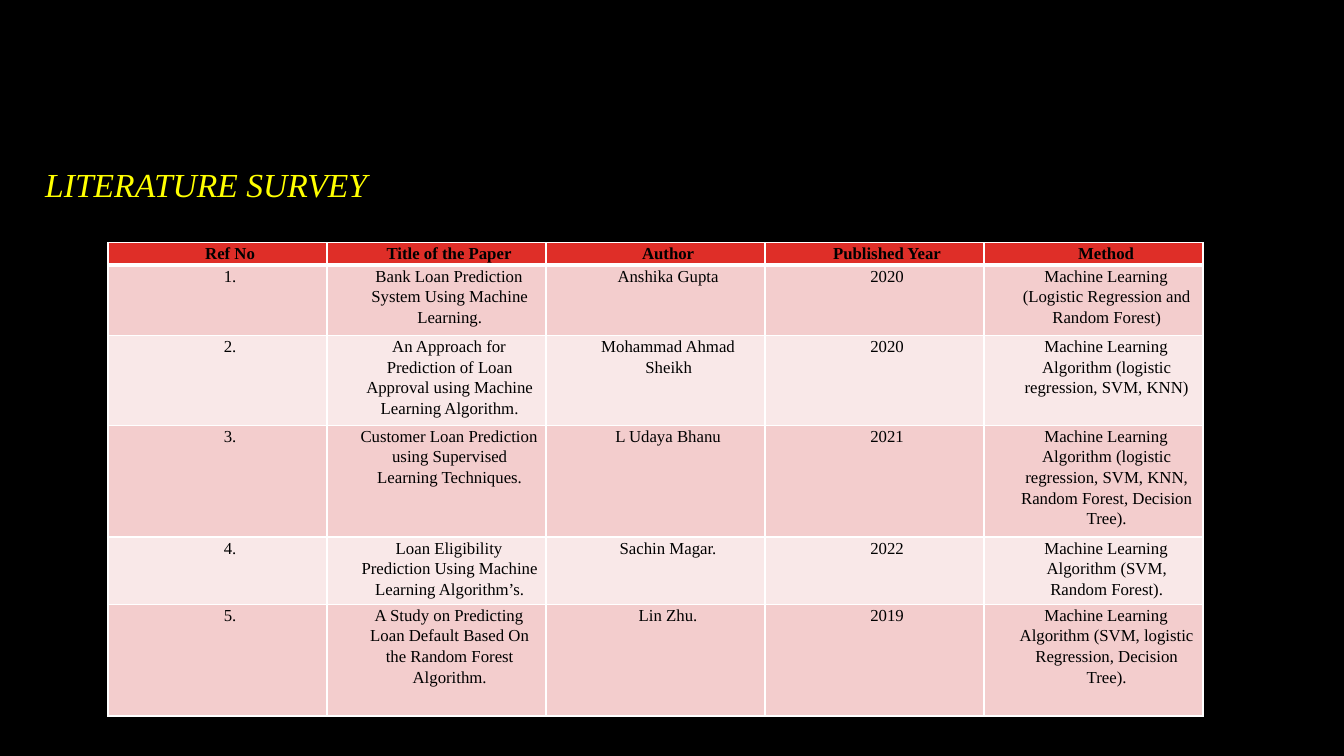
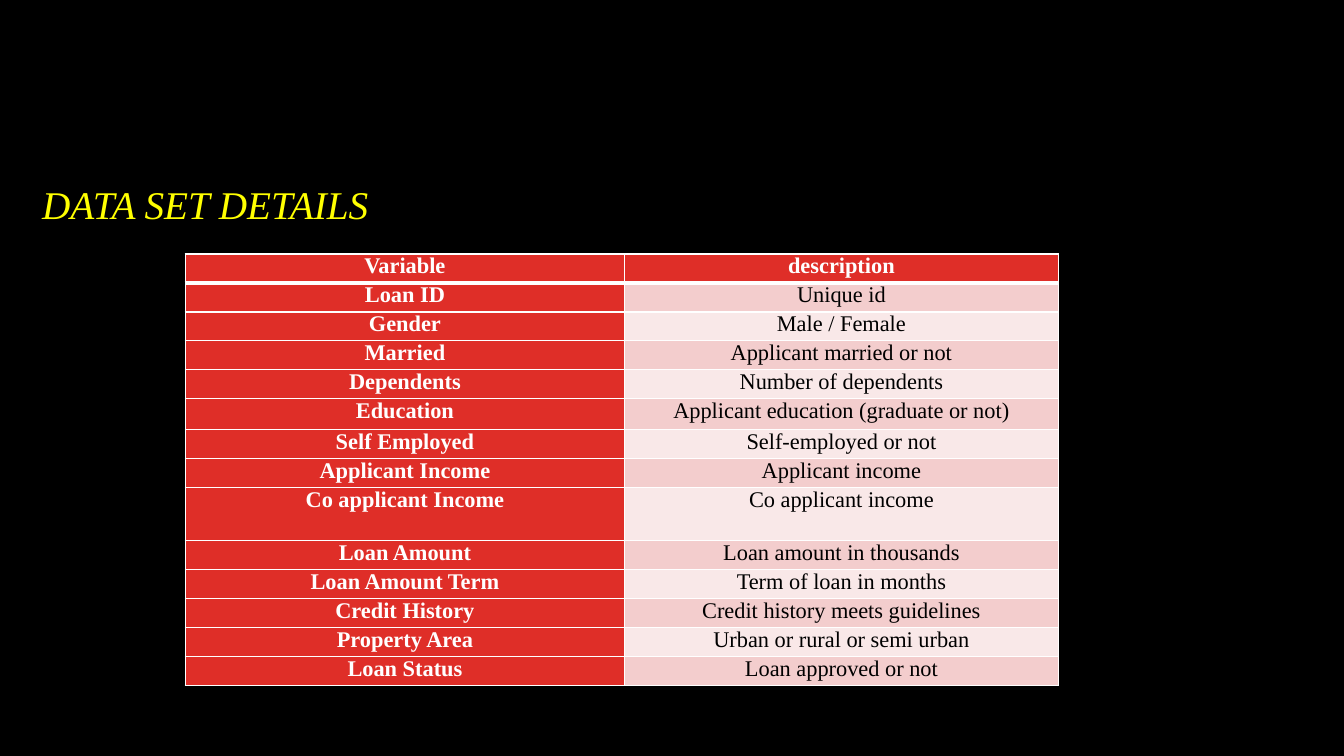
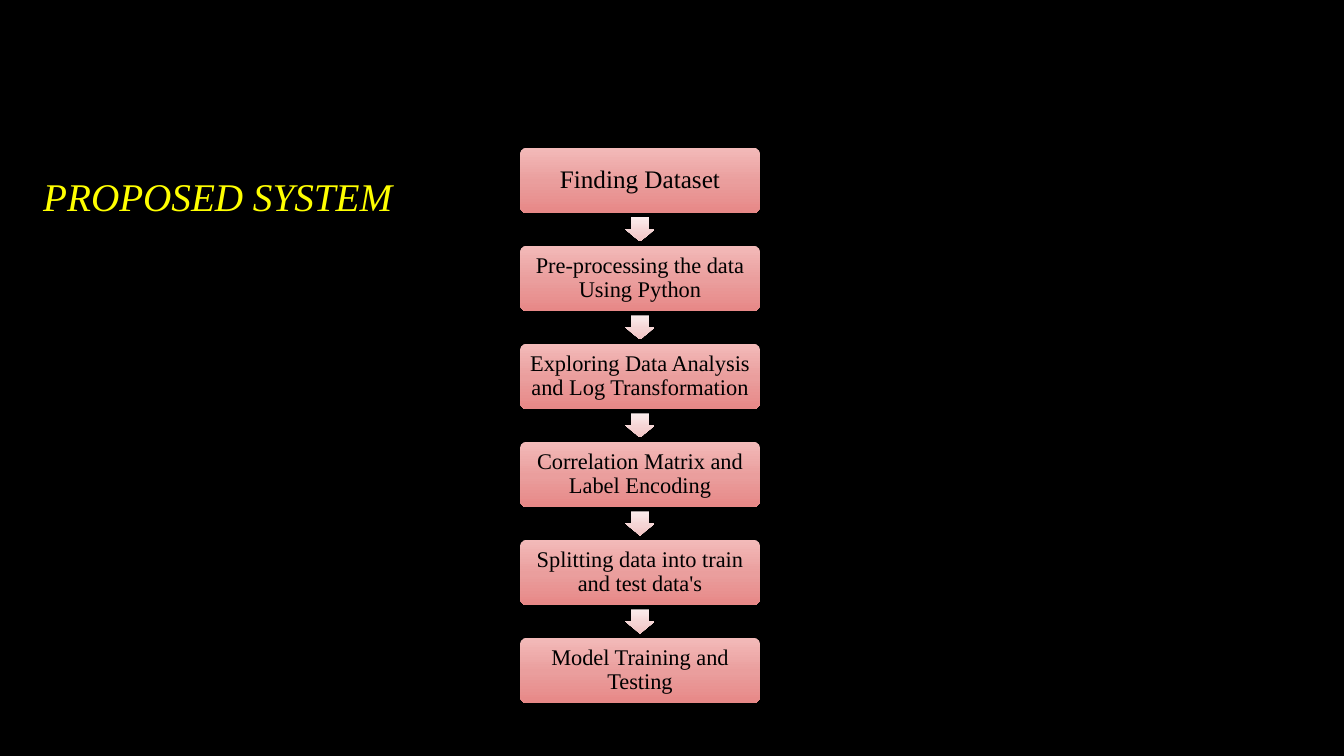
"""Build three slides on loan prediction: literature survey, data set and proposed system."""
from copy import deepcopy

from lxml.etree import SubElement
from pptx import Presentation
from pptx.dml.color import RGBColor
from pptx.enum.shapes import MSO_SHAPE
from pptx.enum.text import MSO_ANCHOR, MSO_AUTO_SIZE, PP_ALIGN
from pptx.oxml.ns import qn
from pptx.util import Cm, Pt

BLACK = RGBColor(0x00, 0x00, 0x00)
WHITE = RGBColor(0xFF, 0xFF, 0xFF)
YELLOW = RGBColor(0xFF, 0xFF, 0x00)
RED = RGBColor(0xDF, 0x2E, 0x28)
BANDS = (RGBColor(0xF3, 0xCD, 0xCD), RGBColor(0xF9, 0xE8, 0xE8))
STEP_SHADES = (RGBColor(0xF3, 0xBA, 0xB9), RGBColor(0xEA, 0x9E, 0x9D), RGBColor(0xE7, 0x88, 0x87))
ARROW_SHADES = (RGBColor(0xFC, 0xEE, 0xEE), RGBColor(0xF5, 0xD5, 0xD5), RGBColor(0xF1, 0xC3, 0xC3))
SHADE_STOPS = (0, 0.52, 1)
FONT = "Times New Roman"

TITLES = {
    "survey": ("LITERATURE SURVEY", 24, (0.89, 4.01, 14.15, 1.27)),
    "dataset": ("DATA SET DETAILS", 28, (0.81, 4.42, 9.35, 1.45)),
    "system": ("PROPOSED SYSTEM", 28, (0.84, 4.22, 10.62, 1.45)),
}

PAPERS = [
    ("Ref No", "Title of the Paper", "Author", "Published Year", "Method"),
    ("1.", "Bank Loan Prediction System Using Machine Learning.", "Anshika Gupta", "2020",
     "Machine Learning (Logistic Regression and Random Forest)"),
    ("2.", "An Approach for Prediction of Loan Approval using Machine Learning Algorithm.",
     "Mohammad Ahmad Sheikh", "2020",
     "Machine Learning Algorithm (logistic regression, SVM, KNN)"),
    ("3.", "Customer Loan Prediction using Supervised Learning Techniques.", "L Udaya Bhanu", "2021",
     "Machine Learning Algorithm (logistic regression, SVM, KNN, Random Forest, Decision Tree)."),
    ("4.", "Loan Eligibility Prediction Using Machine Learning Algorithm’s.", "Sachin Magar.", "2022",
     "Machine Learning Algorithm (SVM, Random Forest)."),
    ("5.", "A Study on Predicting Loan Default Based On the Random Forest Algorithm.", "Lin Zhu.", "2019",
     "Machine Learning Algorithm (SVM, logistic Regression, Decision Tree)."),
]
PAPER_HEIGHTS = [0.56, 1.77, 2.26, 2.82, 1.68, 2.82]
PAPER_WIDTHS = [5.52] * 5

VARIABLES = [
    ("Variable", "description"),
    ("Loan ID", "Unique id"),
    ("Gender", "Male / Female"),
    ("Married", "Applicant married or not"),
    ("Dependents", "Number of dependents"),
    ("Education", "Applicant education (graduate or not)"),
    ("Self Employed", "Self-employed or not"),
    ("Applicant Income", "Applicant income"),
    ("Co applicant Income", "Co applicant income"),
    ("Loan Amount", "Loan amount in thousands"),
    ("Loan Amount Term", "Term of loan in months"),
    ("Credit History", "Credit history meets guidelines"),
    ("Property Area", "Urban or rural or semi urban"),
    ("Loan Status", "Loan approved or not"),
]
TALL_ROWS = {"Education": 0.78, "Co applicant Income": 1.33}
VARIABLE_HEIGHTS = [TALL_ROWS.get(name, 0.73) for name, _ in VARIABLES]
VARIABLE_WIDTHS = [11.07, 10.93]

STEPS = [
    ("Finding Dataset", 18),
    ("Pre-processing the data Using Python", 16),
    ("Exploring Data Analysis and Log Transformation", 16),
    ("Correlation Matrix and Label Encoding", 16),
    ("Splitting data into train and test data's", 16),
    ("Model Training and Testing", 16),
]
STEP_LEFT, STEP_TOP, STEP_WIDTH, STEP_HEIGHT, STEP_PITCH = 13.11, 3.72, 6.04, 1.65, 2.47
ARROW_WIDTH, ARROW_HEIGHT = 0.74, 0.61

CELL_FORMAT = {"margin_left": Cm(0.18), "margin_right": Cm(0.18), "margin_top": 0, "margin_bottom": 0}
SURVEY_PARAGRAPH = {"line_spacing": 1.11, "space_after": Pt(10.3)}
SURVEY_INDENT = {"marL": Cm(0.67), "indent": Cm(-0.03)}
STEP_FRAME = {"word_wrap": True, "vertical_anchor": MSO_ANCHOR.MIDDLE, "margin_left": Cm(0.1),
              "margin_right": Cm(0.1), "margin_top": Cm(0.1), "margin_bottom": Cm(0.1)}


def apply(target, values):
    for name, value in values.items():
        setattr(target, name, value)


def write(frame, text, size, colour, paragraph_format=None, **font_format):
    paragraph = frame.paragraphs[0]
    apply(paragraph, paragraph_format or {})
    run = paragraph.add_run()
    run.text = text
    apply(run.font, {"name": FONT, "size": Pt(size), **font_format})
    run.font.color.rgb = colour
    return paragraph


def add_titled_slide(deck, key):
    text, size, place = TITLES[key]
    slide = deck.slides.add_slide(deck.slide_layouts[6])
    frame = slide.shapes.add_textbox(*map(Cm, place)).text_frame
    apply(frame, {"word_wrap": True, "auto_size": MSO_AUTO_SIZE.SHAPE_TO_FIT_TEXT})
    write(frame, text, size, YELLOW, italic=True)
    return slide


def set_borders(cell, widths):
    properties = cell._tc.get_or_add_tcPr()
    for position, (side, width) in enumerate(widths.items()):
        line = properties.makeelement(qn(f"a:{side}"), {"w": str(Pt(width))})
        fill = SubElement(line, qn("a:solidFill"))
        SubElement(fill, qn("a:srgbClr"), {"val": str(WHITE)})
        properties.insert(position, line)


def add_red_table(slide, left, top, rows, widths, heights, size, header_colour,
                  first_column=False, paragraph_format=None, indent=None):
    table = slide.shapes.add_table(len(rows), len(widths), Cm(left), Cm(top),
                                   Cm(sum(widths)), Cm(sum(heights))).table
    table.first_col = first_column
    for column, width in zip(table.columns, widths):
        column.width = Cm(width)
    for r, (row, height) in enumerate(zip(rows, heights)):
        table.rows[r].height = Cm(height)
        for c, text in enumerate(row):
            cell = table.cell(r, c)
            heading = r == 0 or (first_column and c == 0)
            apply(cell, CELL_FORMAT)
            cell.fill.solid()
            cell.fill.fore_color.rgb = RED if heading else BANDS[(r - 1) % 2]
            set_borders(cell, {"lnL": 1, "lnR": 1, "lnT": 3 if r == 1 else 1, "lnB": 3 if r == 0 else 1})
            paragraph = write(cell.text_frame, text, size, header_colour if heading else BLACK,
                              {"alignment": PP_ALIGN.CENTER, **(paragraph_format or {})}, bold=heading)
            for name, value in (indent or {}).items():
                paragraph._p.get_or_add_pPr().set(name, str(value))


def add_shaded(slide, preset, place, adjustments, shades):
    shape = slide.shapes.add_shape(preset, *map(Cm, place))
    shape.shadow.inherit = False
    shape.line.fill.background()
    for index, value in enumerate(adjustments):
        shape.adjustments[index] = value
    shape.fill.gradient()
    shape.fill.gradient_angle = 270
    stops = shape._element.spPr.find(".//" + qn("a:gsLst"))
    stops.insert(1, deepcopy(stops[0]))
    for stop, shade, position in zip(shape.fill.gradient_stops, shades, SHADE_STOPS):
        stop.color.rgb = shade
        stop.position = position
    return shape


def add_step_flow(slide):
    arrow_left = STEP_LEFT + (STEP_WIDTH - ARROW_WIDTH) / 2
    arrow_offset = (STEP_HEIGHT + STEP_PITCH - ARROW_HEIGHT) / 2
    for index, (text, size) in enumerate(STEPS):
        top = STEP_TOP + index * STEP_PITCH
        step = add_shaded(slide, MSO_SHAPE.ROUNDED_RECTANGLE,
                          (STEP_LEFT, top, STEP_WIDTH, STEP_HEIGHT), [0.1], STEP_SHADES)
        apply(step.text_frame, STEP_FRAME)
        write(step.text_frame, text, size, BLACK, {"alignment": PP_ALIGN.CENTER, "line_spacing": 0.9})
        if index < len(STEPS) - 1:
            add_shaded(slide, MSO_SHAPE.DOWN_ARROW,
                       (arrow_left, top + arrow_offset, ARROW_WIDTH, ARROW_HEIGHT), [0.6, 0.5], ARROW_SHADES)


def main():
    deck = Presentation()
    apply(deck, {"slide_width": Cm(33.87), "slide_height": Cm(19.05)})
    backdrop = deck.slide_master.background.fill
    backdrop.solid()
    backdrop.fore_color.rgb = BLACK

    add_red_table(add_titled_slide(deck, "survey"), 2.72, 6.12, PAPERS, PAPER_WIDTHS, PAPER_HEIGHTS, 12, BLACK,
                  paragraph_format=SURVEY_PARAGRAPH, indent=SURVEY_INDENT)
    add_red_table(add_titled_slide(deck, "dataset"), 4.67, 6.4, VARIABLES, VARIABLE_WIDTHS, VARIABLE_HEIGHTS,
                  16, WHITE, first_column=True)
    add_step_flow(add_titled_slide(deck, "system"))
    deck.save("out.pptx")


if __name__ == "__main__":
    main()
